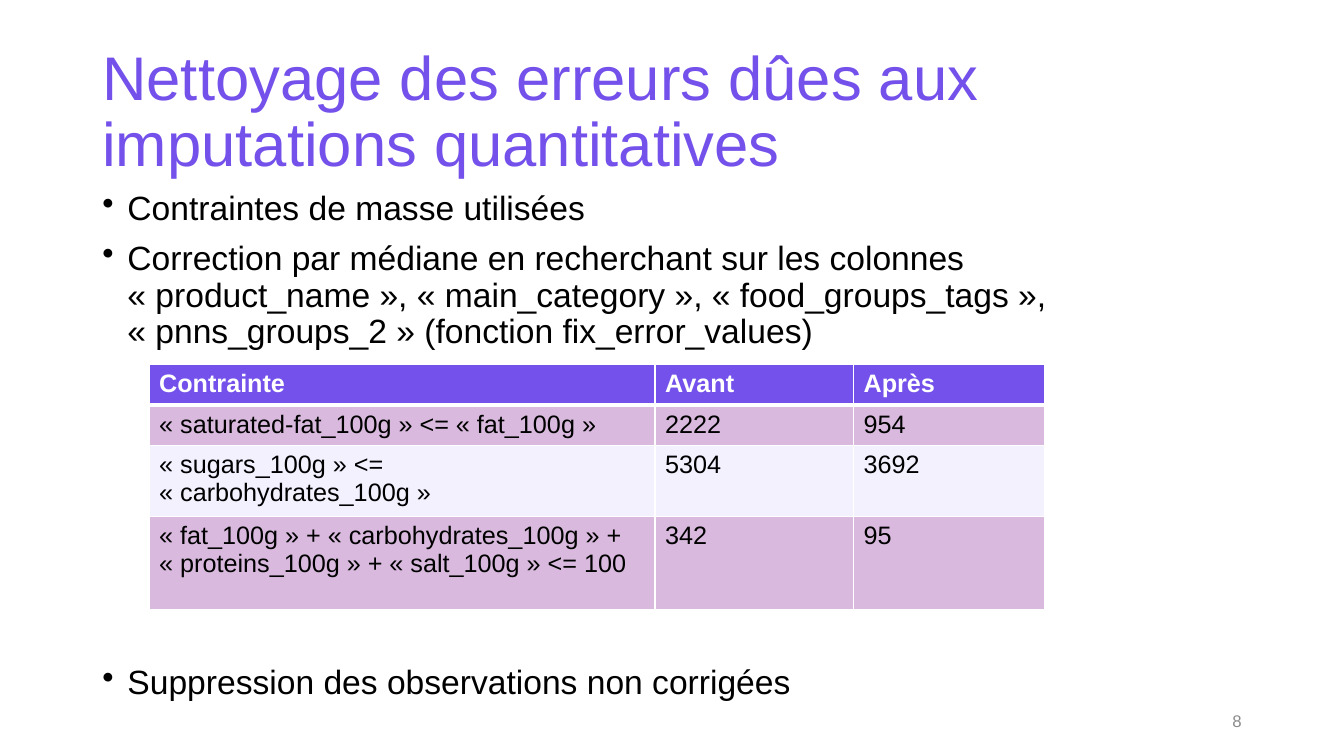
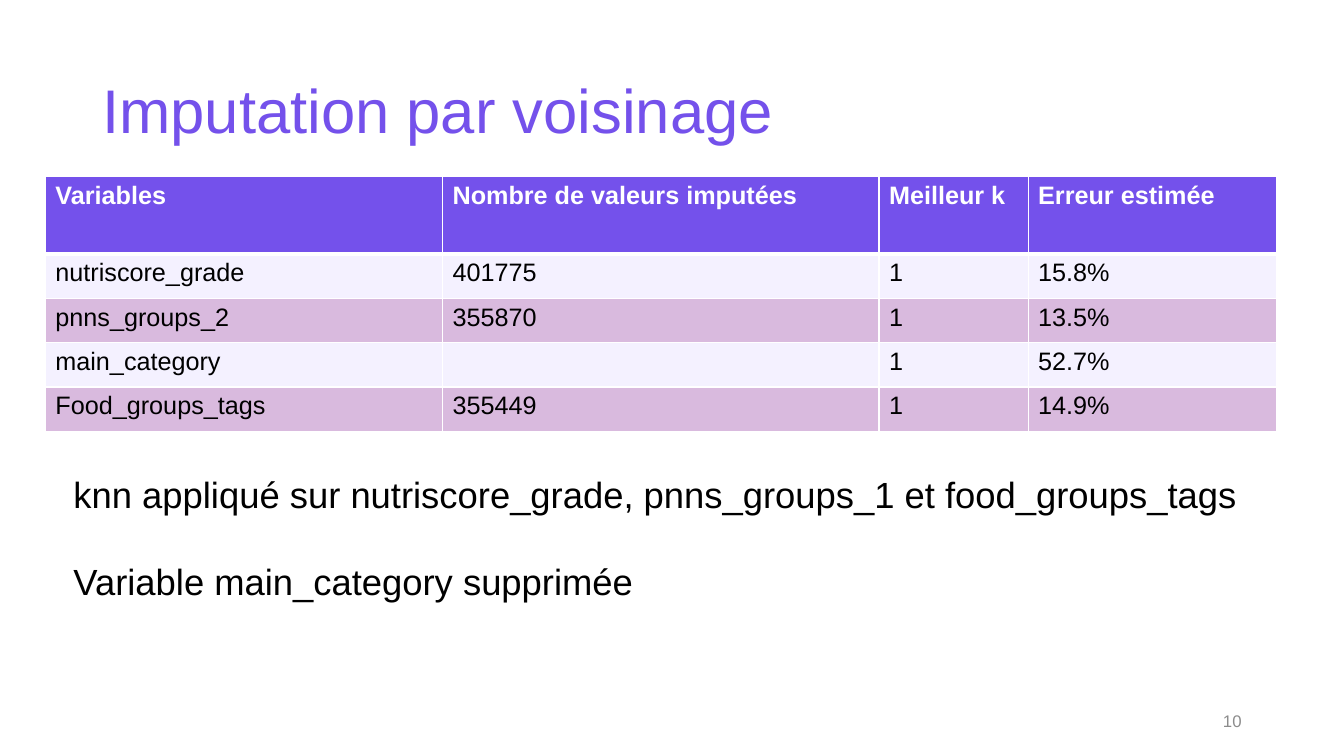
"""Build two slides on data cleaning and imputation."""
import pptx
import pptx.dml.color
import pptx.enum.text
import pptx.oxml
import pptx.oxml.ns
import pptx.util

Pt = pptx.util.Pt
Align = pptx.enum.text.PP_ALIGN
Anchor = pptx.enum.text.MSO_ANCHOR
VIOLET, PINK, PALE = "7451EB", "D9BADE", "F4F1FF"
WHITE, BLACK, GREY = "FFFFFF", "000000", "8C8C8C"


def paint(target, tint):
    target.rgb = pptx.dml.color.RGBColor.from_string(tint)


def write(frame, lines, size, tint, bold=False, gap=0, ratio=1.0, align=Align.LEFT):
    for i, line in enumerate(lines):
        para = frame.paragraphs[0] if i == 0 else frame.add_paragraph()
        para.text = line
        para.alignment = align
        para.line_spacing = ratio
        para.space_before = Pt(gap)
        para.font.name = "Arial"
        para.font.size = Pt(size)
        para.font.bold = bold
        paint(para.font.color, tint)


deck = pptx.Presentation()
deck.slide_width, deck.slide_height = Pt(960), Pt(540)

pages = [
    {
        "title": "Nettoyage des erreurs dûes aux imputations quantitatives",
        "page": "8",
        "at": (106.5, 260.6),
        "cols": [361.4, 141.8, 136.8],
        "rows": [28.8, 28.8, 48, 66.5],
        "bands": [PINK, PALE],
        "cells": [
            ["Contrainte", "Avant", "Après"],
            ["«\u00a0saturated-fat_100g\u00a0» <= «\u00a0fat_100g\u00a0»", "2222", "954"],
            ["«\u00a0sugars_100g\u00a0» <= «\u00a0carbohydrates_100g\u00a0»", "5304", "3692"],
            ["«\u00a0fat_100g\u00a0» + «\u00a0carbohydrates_100g\u00a0» + "
             "«\u00a0proteins_100g\u00a0» + «\u00a0salt_100g\u00a0» <= 100", "342", "95"],
        ],
        "body": (66, 133.2, 828, 404),
        "lines": [
            "Contraintes de masse utilisées",
            "Correction par médiane en recherchant sur les colonnes "
            "«\u00a0product_name\u00a0», «\u00a0main_category\u00a0», "
            "«\u00a0food_groups_tags\u00a0», «\u00a0pnns_groups_2\u00a0» "
            "(fonction fix_error_values)",
            "Suppression des observations non corrigées",
        ],
        "style": {"size": 24, "gap": 10, "ratio": 0.9},
        "last": 225,
        "bullet": True,
    },
    {
        "title": "Imputation par voisinage",
        "page": "10",
        "at": (32.4, 126),
        "cols": [283.7, 311.8, 106.5, 177.8],
        "rows": [55.4] + [31.7] * 4,
        "bands": [PALE, PINK],
        "cells": [
            ["Variables", "Nombre de valeurs imputées", "Meilleur k", "Erreur estimée"],
            ["nutriscore_grade", "401775", "1", "15.8%"],
            ["pnns_groups_2", "355870", "1", "13.5%"],
            ["main_category", "", "1", "52.7%"],
            ["Food_groups_tags", "355449", "1", "14.9%"],
        ],
        "body": (45.4, 333.4, 853, 101),
        "lines": [
            "knn appliqué sur nutriscore_grade, pnns_groups_1 et food_groups_tags",
            "Variable main_category supprimée",
        ],
        "style": {"size": 26},
        "last": 31,
        "bullet": False,
    },
]

for page in pages:
    slide = deck.slides.add_slide(deck.slide_layouts[6])
    parts = [
        ((66, 28.8, 828, 104.4), Anchor.MIDDLE, [page["title"]],
         {"size": 44, "tint": VIOLET, "ratio": 0.9}),
        ((678, 500.5, 216, 28.8), Anchor.MIDDLE, [page["page"]],
         {"size": 12, "tint": GREY, "align": Align.RIGHT}),
        (page["body"], Anchor.TOP, page["lines"], {"tint": BLACK, **page["style"]}),
    ]
    for place, anchor, lines, style in parts:
        frame = slide.shapes.add_textbox(*map(Pt, place)).text_frame
        frame.word_wrap = True
        frame.vertical_anchor = anchor
        write(frame, lines, **style)
    frame.paragraphs[-1].space_before = Pt(page["last"])
    if page["bullet"]:
        for para in frame.paragraphs:
            props = para._p.get_or_add_pPr()
            props.set("marL", str(Pt(18)))
            props.set("indent", str(-Pt(18)))
            mark = pptx.oxml.parse_xml(
                f'<a:buChar {pptx.oxml.ns.nsdecls("a")} char="•"/>')
            props.insert_element_before(mark, "a:tabLst", "a:defRPr", "a:extLst")

    cols, rows = page["cols"], page["rows"]
    size = (sum(cols), sum(rows))
    grid = slide.shapes.add_table(
        len(rows), len(cols), *map(Pt, page["at"] + size)).table
    for col, width in zip(grid.columns, cols):
        col.width = Pt(width)
    for r, (row, height) in enumerate(zip(grid.rows, rows)):
        row.height = Pt(height)
        head = r == 0
        for cell, text in zip(row.cells, page["cells"][r]):
            write(cell.text_frame, [text], 18, WHITE if head else BLACK, bold=head)
            props = cell._tc.get_or_add_tcPr()
            for side in "LRTB":
                thick = (r, side) in [(0, "B"), (1, "T")]
                props.append(pptx.oxml.parse_xml(
                    f'<a:ln{side} {pptx.oxml.ns.nsdecls("a")} w="{Pt(3 if thick else 1)}">'
                    f'<a:solidFill><a:srgbClr val="{WHITE}"/></a:solidFill></a:ln{side}>'))
            cell.fill.solid()
            paint(cell.fill.fore_color, VIOLET if head else page["bands"][(r - 1) % 2])

deck.save("out.pptx")
